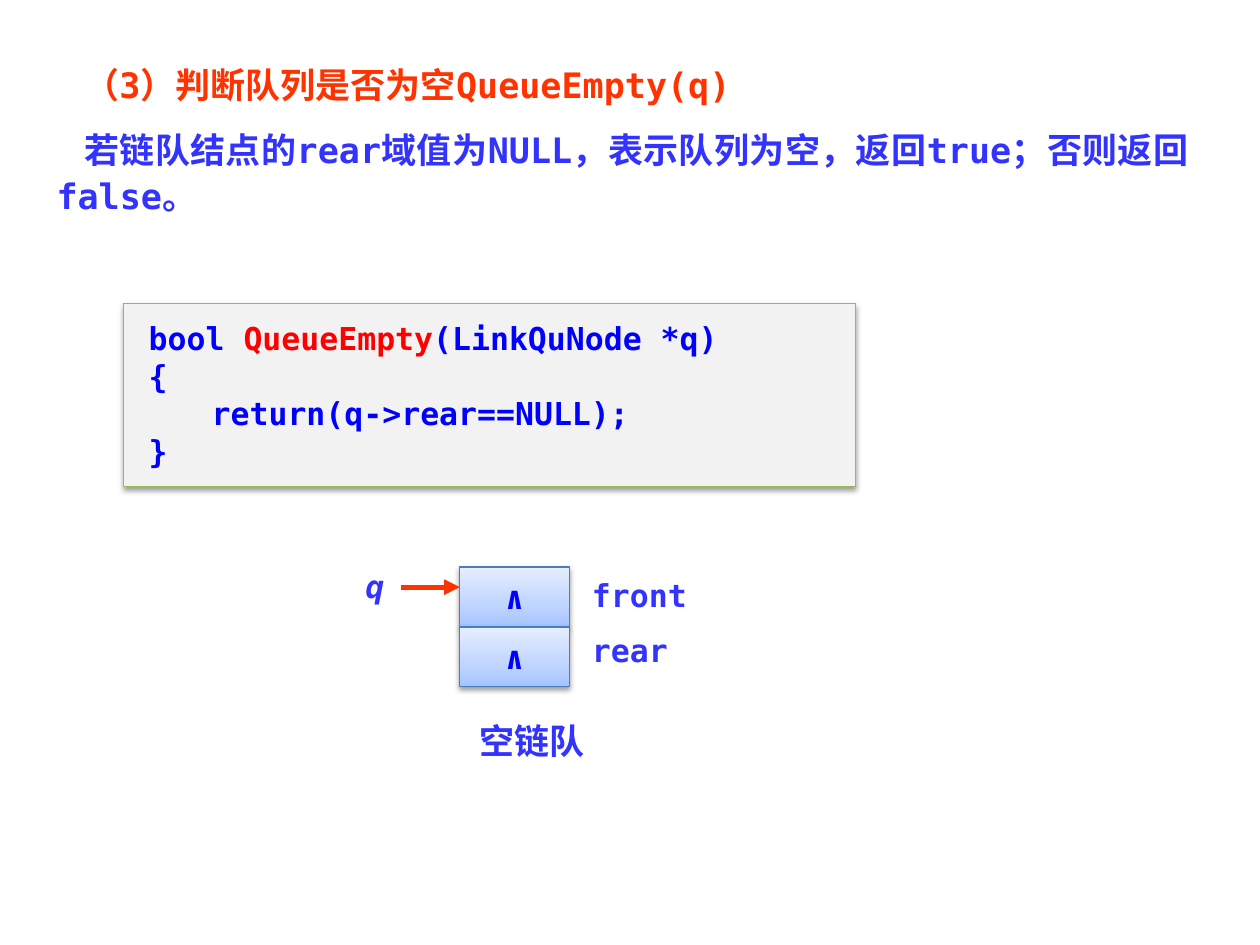
from copy import deepcopy
from dataclasses import dataclass

from lxml import etree
from pptx import Presentation
from pptx import util as u
from pptx.dml.color import RGBColor
from pptx.enum import shapes, text
from pptx.oxml import ns


@dataclass(frozen=True)
class Theme:
    mono: str = "DejaVu Sans Mono"
    chinese: str = "Noto Sans CJK SC"
    body_size: int = 20
    code_size: int = 18
    accent: str = "FF3300"
    body: str = "3333FF"
    code: str = "0000FF"
    function: str = "FF0000"
    panel: str = "F2F2F2"
    panel_line: str = "98B955"
    cell_line: str = "4B7EBC"
    cell_stops: tuple = ((0, "A4C4FF"), (0.35, "BFD4FF"), (1, "E6EEFF"))


THEME = Theme()
WIDTH, HEIGHT = 10, 7.5
CELL_LEFT, CELL_TOP, CELL_WIDTH, CELL_HEIGHT = 3.65, 4.5, 0.87, 0.475


def color(value):
    return RGBColor.from_string(value)


def write(frame, runs, first=False, size=THEME.code_size, fill=THEME.body, font=THEME.mono,
          italic=False, align=text.PP_ALIGN.LEFT, spacing=None, before=0, indent=0):
    paragraph = frame.paragraphs[0] if first else frame.add_paragraph()
    paragraph.alignment = align
    paragraph.space_before = u.Pt(before)
    if spacing:
        paragraph.line_spacing = spacing
    if indent:
        paragraph._p.get_or_add_pPr().set("indent", str(u.Inches(indent)))
    for words, run_fill in [(runs, fill)] if isinstance(runs, str) else runs:
        run = paragraph.add_run()
        run.text = words
        run.font.name = font
        run.font.size = u.Pt(size)
        run.font.bold = True
        run.font.italic = italic
        run.font.color.rgb = color(run_fill)


def add_text_box(slide, left, top, width, height):
    box = slide.shapes.add_textbox(*map(u.Inches, (left, top, width, height)))
    box.text_frame.word_wrap = True
    return box.text_frame


def add_shadow(shape):
    shape.shadow.inherit = False
    effects = shape._element.spPr.find(ns.qn("a:effectLst"))
    shadow = etree.SubElement(effects, ns.qn("a:outerShdw"), blurRad="40000", dist="20000",
                              dir="5400000", rotWithShape="0")
    tint = etree.SubElement(shadow, ns.qn("a:srgbClr"), val="000000")
    etree.SubElement(tint, ns.qn("a:alpha"), val="38000")


def add_box(slide, left, top, width, height, line):
    shape = slide.shapes.add_shape(shapes.MSO_SHAPE.RECTANGLE,
                                   *map(u.Inches, (left, top, width, height)))
    shape.line.color.rgb = color(line)
    shape.line.width = u.Pt(0.75)
    add_shadow(shape)
    return shape


def add_code_panel(slide, left, top, width, height, lines):
    panel = add_box(slide, left, top, width, height, THEME.panel_line)
    panel.fill.solid()
    panel.fill.fore_color.rgb = color(THEME.panel)
    frame = panel.text_frame
    frame.word_wrap = True
    frame.vertical_anchor = text.MSO_ANCHOR.TOP
    frame.margin_left = frame.margin_right = u.Inches(0.2)
    frame.margin_top = frame.margin_bottom = u.Inches(0.12)
    for number, line in enumerate(lines):
        write(frame, line, first=number == 0, fill=THEME.code)


def add_cell(slide, row):
    cell = add_box(slide, CELL_LEFT, CELL_TOP + row * CELL_HEIGHT, CELL_WIDTH, CELL_HEIGHT,
                   THEME.cell_line)
    cell.fill.gradient()
    cell.fill.gradient_angle = 90
    stop_list = cell._element.spPr.find(".//" + ns.qn("a:gsLst"))
    stop_list.append(deepcopy(stop_list[0]))
    for stop, (position, value) in zip(cell.fill.gradient_stops, THEME.cell_stops):
        stop.position = position
        stop.color.rgb = color(value)
    frame = cell.text_frame
    frame.word_wrap = False
    frame.vertical_anchor = text.MSO_ANCHOR.MIDDLE
    write(frame, "∧", first=True, fill=THEME.code, align=text.PP_ALIGN.CENTER)


def add_arrow(slide, start, end, y):
    arrow = slide.shapes.add_connector(shapes.MSO_CONNECTOR.STRAIGHT,
                                       *map(u.Inches, (start, y, end, y)))
    arrow.line.color.rgb = color(THEME.accent)
    arrow.line.width = u.Pt(3)
    etree.SubElement(arrow.line._get_or_add_ln(), ns.qn("a:tailEnd"), type="triangle")
    etree.SubElement(arrow._element.spPr, ns.qn("a:effectLst"))


def add_introduction(slide):
    frame = add_text_box(slide, 0.35, 0.52, 9.18, 1.28)
    layout = dict(size=THEME.body_size, align=text.PP_ALIGN.JUSTIFY, indent=0.22)
    write(frame, "（3）判断队列是否为空QueueEmpty(q)", first=True, fill=THEME.accent,
          spacing=0.8, **layout)
    write(frame, "若链队结点的rear域值为NULL，表示队列为空，返回true；否则返回false。",
          spacing=1.1, before=11, **layout)


def add_empty_queue(slide):
    caption = add_text_box(slide, 3.44, 5.66, 1.57, 0.44)
    write(caption, "空链队", first=True, size=THEME.body_size, font=THEME.chinese,
          align=text.PP_ALIGN.CENTER)
    for row in range(2):
        add_cell(slide, row)
    add_arrow(slide, 3.18, CELL_LEFT, 4.66)
    pointer = add_text_box(slide, 2.74, 4.45, 0.47, 0.4)
    write(pointer, "q", first=True, italic=True, align=text.PP_ALIGN.CENTER)
    fields = add_text_box(slide, 4.6, 4.52, 1.5, 0.86)
    write(fields, "front", first=True)
    write(fields, "rear", before=10)


def main():
    presentation = Presentation()
    presentation.slide_width = u.Inches(WIDTH)
    presentation.slide_height = u.Inches(HEIGHT)
    slide = presentation.slides.add_slide(presentation.slide_layouts[6])
    add_introduction(slide)
    add_code_panel(slide, 0.98, 2.41, 5.81, 1.45, [
        [("bool ", THEME.code), ("QueueEmpty", THEME.function),
         ("(LinkQuNode *q)", THEME.code)],
        "{",
        "　　return(q->rear==NULL);",
        "}",
    ])
    add_empty_queue(slide)
    presentation.save("out.pptx")


if __name__ == "__main__":
    main()
